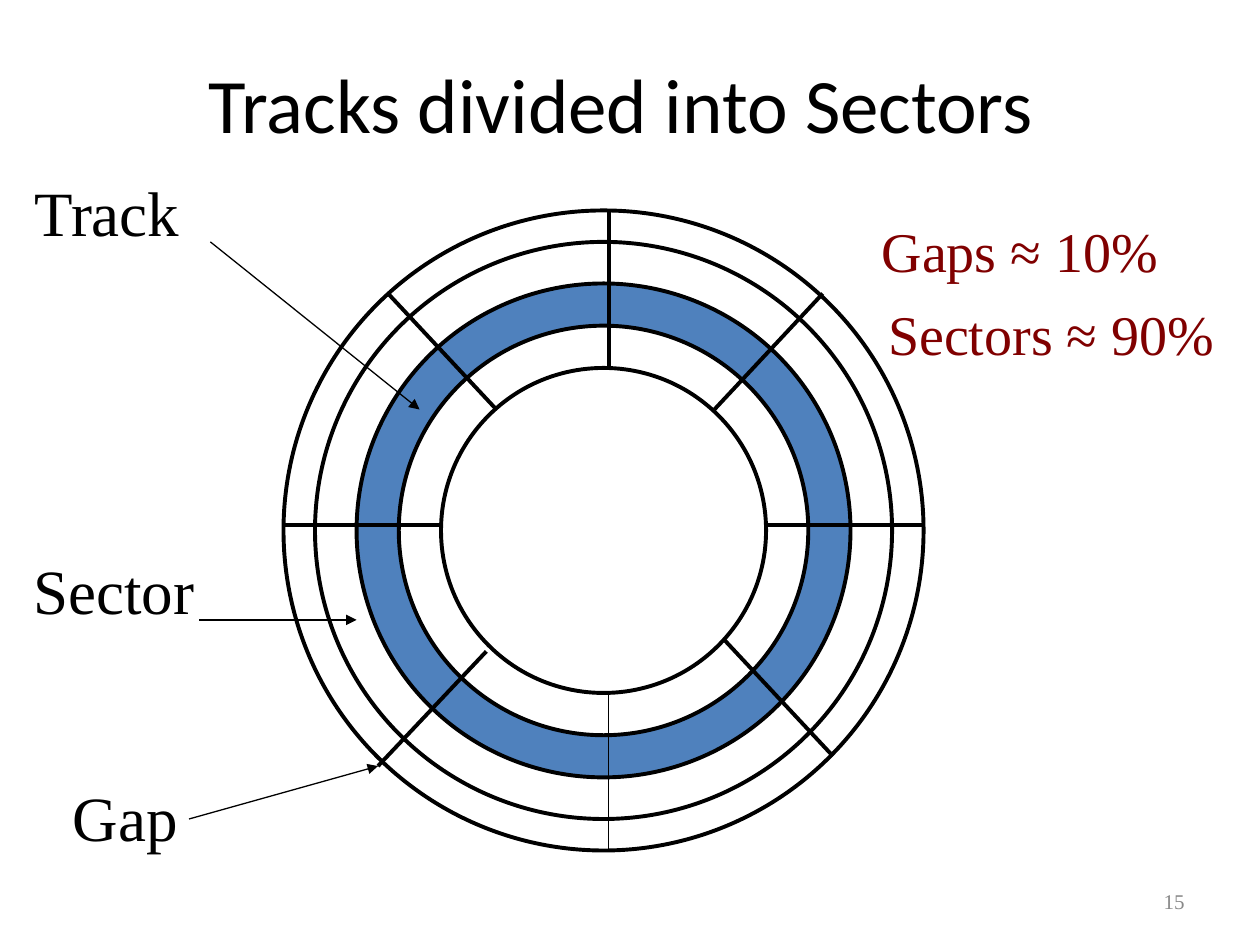
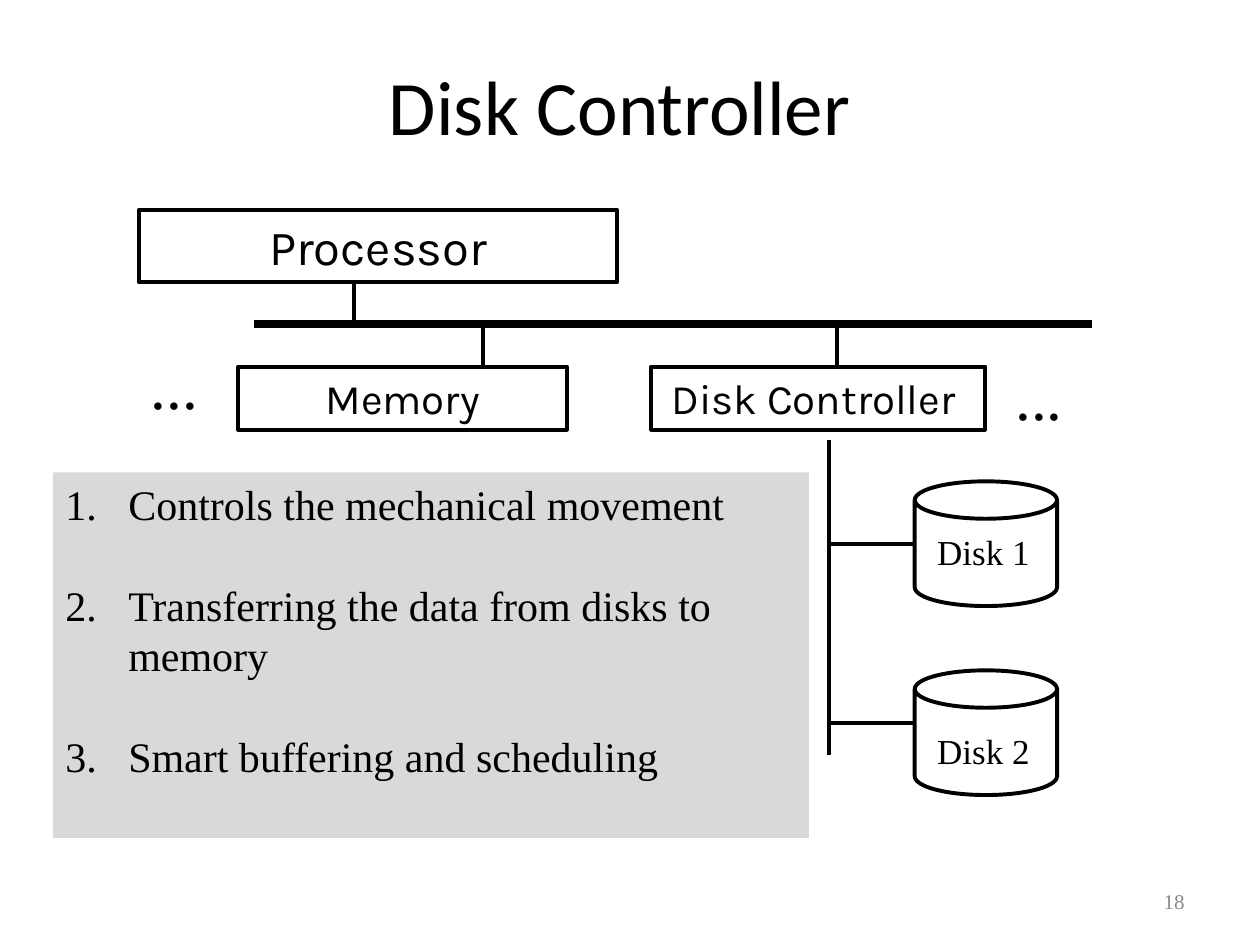
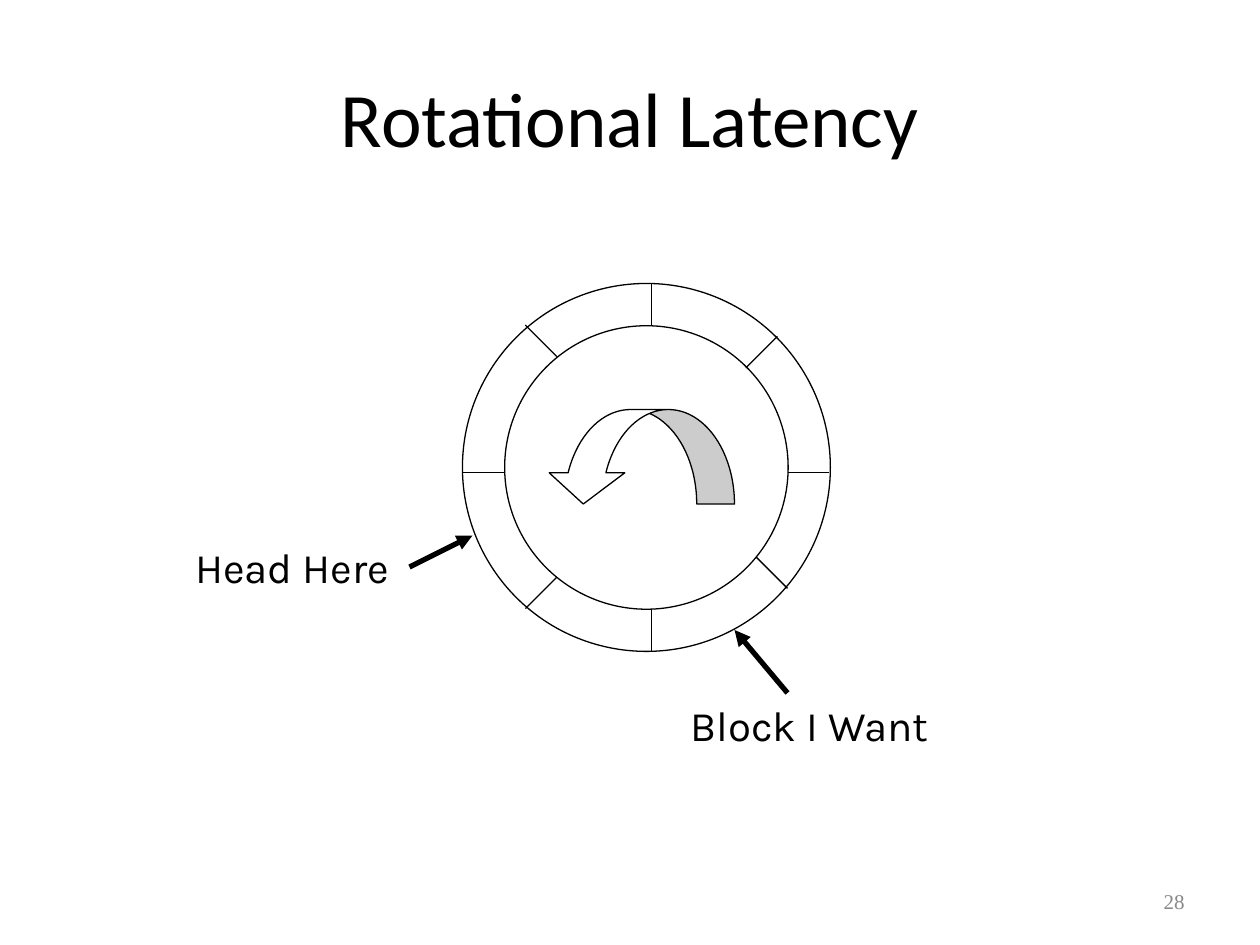
from pptx import Presentation
from pptx.dml.color import RGBColor
from pptx.enum.shapes import MSO_CONNECTOR, MSO_SHAPE
from pptx.enum.text import MSO_ANCHOR, PP_ALIGN
from pptx.oxml.ns import qn
from pptx.util import Inches, Pt
from lxml.etree import SubElement

BLACK = RGBColor(0x00, 0x00, 0x00)
WHITE = RGBColor(0xFF, 0xFF, 0xFF)
TRACK_BLUE = RGBColor(0x4F, 0x81, 0xBD)
RATIO_RED = RGBColor(0x80, 0x00, 0x00)
PANEL_GREY = RGBColor(0xD9, 0xD9, 0xD9)
NUMBER_GREY = RGBColor(0x89, 0x89, 0x89)

TITLE_FONT = "Calibri"
SERIF = "Times New Roman"
SANS = "Karla"

THIN, MEDIUM, ARROW, BUS = 0.75, 2.25, 3, 4.5


def style_paragraph(paragraph, size, font, color=BLACK, align=PP_ALIGN.LEFT):
    paragraph.alignment = align
    for run in paragraph.runs:
        run.font.size = Pt(size)
        run.font.name = font
        run.font.color.rgb = color


def add_text(slide, box, text, size, font, color=BLACK, align=PP_ALIGN.LEFT):
    frame = slide.shapes.add_textbox(*map(Inches, box)).text_frame
    frame.word_wrap = True
    frame.vertical_anchor = MSO_ANCHOR.MIDDLE
    frame.text = text
    style_paragraph(frame.paragraphs[0], size, font, color, align)
    return frame


def add_label(slide, box, text, size, font=SERIF, color=BLACK, align=PP_ALIGN.CENTER):
    """Add a one-line caption, with narrow margins so that it stays on its line."""
    frame = add_text(slide, box, text, size, font, color, align)
    frame.vertical_anchor = MSO_ANCHOR.TOP
    frame.margin_right = 0
    if align == PP_ALIGN.CENTER:
        frame.margin_left = 0


def add_block(slide, preset, box, fill=None, width=MEDIUM):
    """Add a preset shape; without fill or width it has no fill or outline."""
    block = slide.shapes.add_shape(preset, *map(Inches, box))
    block.shadow.inherit = False
    if fill is None:
        block.fill.background()
    else:
        block.fill.solid()
        block.fill.fore_color.rgb = fill
    if width is None:
        block.line.fill.background()
    else:
        block.line.color.rgb = BLACK
        block.line.width = Pt(width)
    return block


def add_unit(slide, box, text, size):
    """Add an outlined hardware unit with its name."""
    frame = add_block(slide, MSO_SHAPE.RECTANGLE, box).text_frame
    frame.word_wrap = True
    frame.vertical_anchor = MSO_ANCHOR.TOP
    frame.text = text
    style_paragraph(frame.paragraphs[0], size, SANS, align=PP_ALIGN.CENTER)


def add_line(slide, ends, width, arrow=False):
    line = slide.shapes.add_connector(MSO_CONNECTOR.STRAIGHT, *map(Inches, ends))
    line.line.color.rgb = BLACK
    line.line.width = Pt(width)
    properties = line._element.spPr
    if arrow:
        SubElement(properties.find(qn("a:ln")), qn("a:tailEnd"), type="triangle")
    SubElement(properties, qn("a:effectLst"))


def add_rings(slide, center, rings, width):
    """Stack concentric circles, given as (diameter, fill) from the outside in."""
    x, y = center
    for diameter, fill in rings:
        box = (x - diameter / 2, y - diameter / 2, diameter, diameter)
        add_block(slide, MSO_SHAPE.OVAL, box, fill, width)


def add_numbered_panel(slide, box, items, size):
    frame = add_block(slide, MSO_SHAPE.RECTANGLE, box, PANEL_GREY, None).text_frame
    frame.word_wrap = True
    frame.vertical_anchor = MSO_ANCHOR.TOP
    line_height = Pt(size * 1.2)
    for index, item in enumerate(items):
        paragraph = frame.paragraphs[0] if index == 0 else frame.add_paragraph()
        paragraph.text = item
        paragraph.line_spacing = line_height
        if index:
            paragraph.space_before = line_height
        properties = paragraph._p.get_or_add_pPr()
        properties.set("marL", str(Inches(0.5)))
        properties.set("indent", str(-Inches(0.5)))
        SubElement(properties, qn("a:buFont"), typeface=SERIF)
        SubElement(properties, qn("a:buAutoNum"), type="arabicPeriod")
        style_paragraph(paragraph, size, SERIF)


def new_slide(deck, title, title_box, number):
    slide = deck.slides.add_slide(deck.slide_layouts[6])
    add_text(slide, title_box, title, 44, TITLE_FONT, align=PP_ALIGN.CENTER)
    add_text(slide, (7.17, 6.95, 2.33, 0.4), str(number), 12, SERIF,
             NUMBER_GREY, PP_ALIGN.RIGHT)
    return slide


def build_sectors(deck):
    slide = new_slide(deck, "Tracks divided into Sectors ", (0.5, 0.3, 9, 1.03), 15)
    add_rings(slide, (4.79, 4.21), [(5.08, WHITE), (4.58, WHITE), (3.92, TRACK_BLUE),
                                    (3.25, WHITE), (2.58, WHITE)], MEDIUM)

    add_line(slide, (4.83, 6.75, 4.83, 5.5), THIN)
    for gap in [(4.83, 2.92, 4.83, 1.67), (7.33, 4.17, 6.08, 4.17),
                (3.5, 4.17, 2.25, 4.17), (6.53, 2.33, 5.67, 3.25),
                (3.86, 5.17, 3, 6.08), (5.75, 5.08, 6.61, 6),
                (3.08, 2.33, 3.94, 3.25)]:
        add_line(slide, gap, MEDIUM)

    for name, box, pointer in [
        ("Track", (0.17, 1.33, 1.36, 0.7), (1.67, 1.92, 3.33, 3.25)),
        ("Sector", (0.17, 4.33, 1.47, 0.7), (1.58, 4.92, 2.83, 4.92)),
        ("Gap", (0.48, 6.13, 1.03, 0.7), (1.5, 6.5, 3, 6.08)),
    ]:
        add_label(slide, box, name, 36)
        add_line(slide, pointer, THIN, arrow=True)

    add_label(slide, (6.9, 1.67, 2.39, 0.64), "Gaps ≈ 10%", 32, color=RATIO_RED)
    add_label(slide, (6.95, 2.33, 2.79, 0.64), "Sectors ≈ 90%", 32, color=RATIO_RED)


def build_controller(deck):
    slide = new_slide(deck, "Disk Controller", (0.67, 0.42, 8.5, 0.83), 18)
    add_unit(slide, (1.1, 1.67, 3.8, 0.57), "Processor", 28)
    add_unit(slide, (1.89, 2.91, 2.61, 0.5), "Memory", 24)
    add_unit(slide, (5.17, 2.91, 2.65, 0.5), "Disk Controller ", 24)

    bus_y, disk_bus_x, disk_left = 2.57, 6.58, 7.26
    add_line(slide, (2.02, bus_y, 8.67, bus_y), BUS)
    add_line(slide, (2.81, 2.24, 2.81, bus_y), MEDIUM)
    for unit_x in (3.83, 6.64):
        add_line(slide, (unit_x, bus_y, unit_x, 2.91), MEDIUM)
    for left, top in [(7.96, 2.79), (1.1, 2.7)]:
        add_label(slide, (left, top, 0.57, 0.7), "...", 36, align=PP_ALIGN.LEFT)

    add_line(slide, (disk_bus_x, 3.49, disk_bus_x, 5.99), MEDIUM)
    for name, top, link_y, name_top in [("Disk 1", 3.82, 4.32, 4.16),
                                        ("Disk 2", 5.32, 5.74, 5.74)]:
        disk = add_block(slide, MSO_SHAPE.CAN, (disk_left, top, 1.13, 0.99))
        disk.adjustments[0] = 0.3
        add_line(slide, (disk_bus_x, link_y, disk_left, link_y), MEDIUM)
        add_label(slide, (7.34, name_top, 0.93, 0.44), name, 20)

    add_numbered_panel(slide, (0.42, 3.75, 6, 2.9), [
        "Controls the mechanical movement",
        "Transferring the data from disks to memory",
        "Smart buffering and scheduling",
    ], 24)


def build_latency(deck):
    slide = new_slide(deck, "Rotational Latency", (0.5, 0.3, 9, 1.25), 28)
    add_rings(slide, (5.13, 3.71), [(2.92, WHITE), (2.25, WHITE)], THIN)
    for gap in [(5.17, 2.25, 5.17, 2.58), (5.17, 4.83, 5.17, 5.17),
                (6.25, 3.75, 6.58, 3.75), (3.67, 3.75, 4, 3.75),
                (5.92, 2.92, 6.17, 2.67), (4.17, 4.83, 4.42, 4.58),
                (6, 4.42, 6.25, 4.67), (4.17, 2.58, 4.42, 2.83)]:
        add_line(slide, gap, THIN)

    rotation = add_block(slide, MSO_SHAPE.CURVED_DOWN_ARROW,
                         (4.33, 3.25, 1.5, 0.75), WHITE, THIN)
    for index, proportion in enumerate((0.4, 0.8, 0.33)):
        rotation.adjustments[index] = proportion
    rotation._element.spPr.find(qn("a:xfrm")).set("flipH", "1")

    for name, box, pointer in [
        ("Head Here", (1.45, 4.25, 1.87, 0.5), (3.25, 4.5, 3.75, 4.25)),
        ("Block I Want", (5.38, 5.5, 2.15, 0.5), (6.25, 5.5, 5.83, 5)),
    ]:
        add_line(slide, pointer, ARROW, arrow=True)
        add_label(slide, box, name, 24, SANS, align=PP_ALIGN.LEFT)


def main():
    deck = Presentation()
    deck.slide_width = Inches(10)
    deck.slide_height = Inches(7.5)
    build_sectors(deck)
    build_controller(deck)
    build_latency(deck)
    deck.save("out.pptx")


if __name__ == "__main__":
    main()
